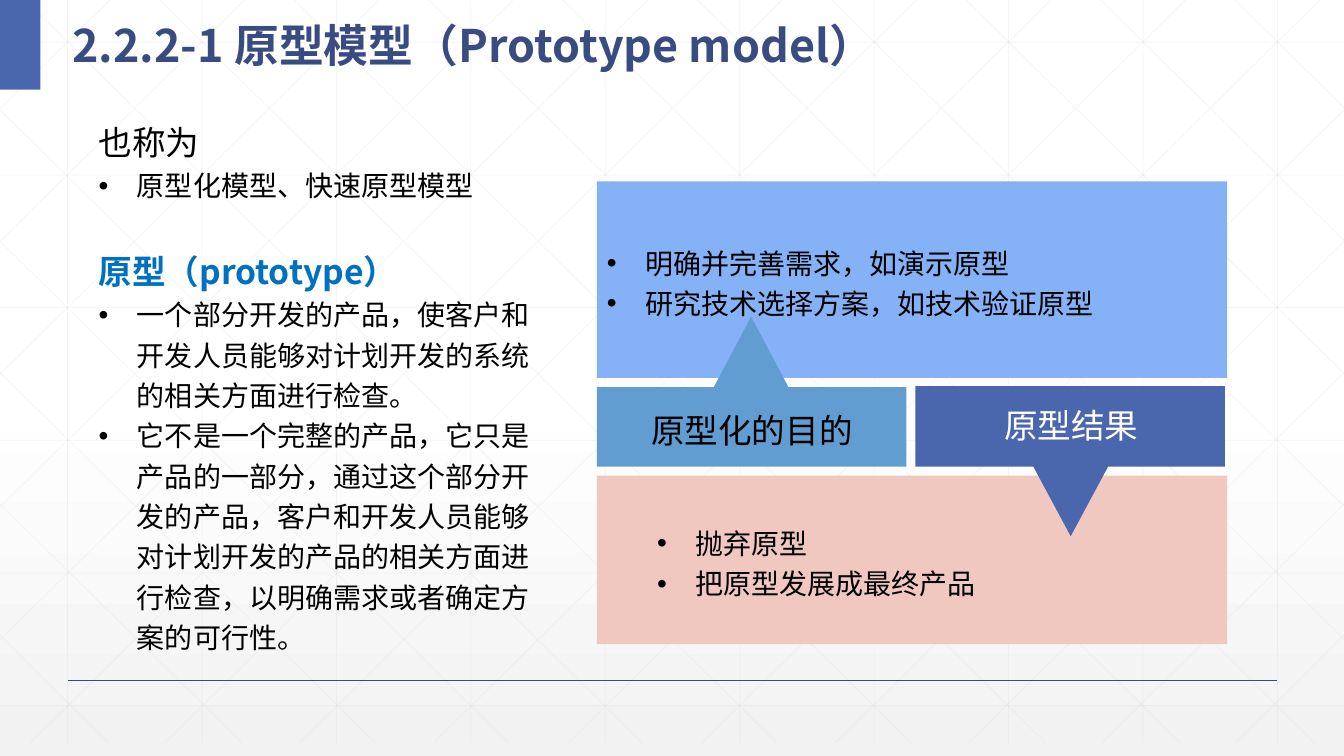
from dataclasses import dataclass

from lxml import etree
from pptx import Presentation
from pptx.dml.color import RGBColor
from pptx.enum.shapes import MSO_CONNECTOR, MSO_SHAPE
from pptx.enum.text import MSO_ANCHOR, PP_ALIGN
from pptx.oxml.ns import qn
from pptx.util import Inches, Pt

RECT = MSO_SHAPE.RECTANGLE
STRAIGHT = MSO_CONNECTOR.STRAIGHT
TOP, MIDDLE = MSO_ANCHOR.TOP, MSO_ANCHOR.MIDDLE
LEFT = PP_ALIGN.LEFT

W, H = 13.33, 7.5
FONT = "Noto Sans CJK SC"
BLACK, WHITE, NAVY, BLUE = "000000", "FFFFFF", "384C81", "4A66AC"


@dataclass
class Para:
    text: str
    size: float = 20
    color: str = BLACK
    bold: bool = False
    bullet: bool = False
    indent: float = 0.38
    spacing: float = 1.2
    before: float = 0


@dataclass
class Panel:
    top: float
    height: float
    fill: str
    paras: list[Para]


@dataclass
class Callout:
    points: list[tuple[float, float]]
    fill: str
    label: Para
    label_box: tuple[float, float, float, float]


def rgb(color: str) -> RGBColor:
    return RGBColor.from_string(color)


def paint(sp, color: str) -> None:
    sp.shadow.inherit = False
    sp.fill.solid()
    sp.fill.fore_color.rgb = rgb(color)
    sp.line.fill.background()


def write(sp, paras: list[Para], anchor=TOP, wrap: bool = True) -> None:
    tf = sp.text_frame
    tf.word_wrap = wrap
    tf.vertical_anchor = anchor
    for i, para in enumerate(paras):
        p = tf.add_paragraph() if i else tf.paragraphs[0]
        p.alignment = LEFT
        p.line_spacing = para.spacing
        p.space_before = Pt(para.before)
        if para.bullet:
            pPr = p._p.get_or_add_pPr()
            pPr.set("marL", str(Inches(para.indent)))
            pPr.set("indent", str(-Inches(0.38)))
            etree.SubElement(pPr, qn("a:buFont")).set("typeface", "Arial")
            etree.SubElement(pPr, qn("a:buChar")).set("char", "•")
        r = p.add_run()
        r.text = para.text
        r.font.name = FONT
        r.font.size = Pt(para.size)
        r.font.bold = para.bold
        r.font.color.rgb = rgb(para.color)
        etree.SubElement(r._r.get_or_add_rPr(), qn("a:ea")).set("typeface", FONT)


def add_text(s, box: tuple, paras: list[Para], anchor=TOP, wrap: bool = True) -> None:
    write(s.shapes.add_textbox(*map(Inches, box)), paras, anchor, wrap)


def add_rect(s, box: tuple, fill: str):
    sp = s.shapes.add_shape(RECT, *map(Inches, box))
    paint(sp, fill)
    return sp


def add_line(s, x1: float, y1: float, x2: float, y2: float,
             color: str = "D9D9D9", width: float = 0.5, alpha: int = 25) -> None:
    sp = s.shapes.add_connector(STRAIGHT, *map(Inches, (x1, y1, x2, y2)))
    sp.line.color.rgb = rgb(color)
    sp.line.width = Pt(width)
    if alpha < 100:
        clr = sp.line._ln.find(".//" + qn("a:srgbClr"))
        etree.SubElement(clr, qn("a:alpha")).set("val", str(alpha * 1000))
    etree.SubElement(sp._element.spPr, qn("a:effectLst"))


def add_background(s) -> None:
    fill = s.background.fill
    fill.gradient()
    fill.gradient_angle = 270
    stops = s.background._cSld.find(".//" + qn("a:gsLst"))
    for gs in list(stops):
        stops.remove(gs)
    for pos, color, alpha in ((0, WHITE, 100), (53, WHITE, 100), (100, "F2F2F2", 65)):
        gs = etree.SubElement(stops, qn("a:gs"), pos=str(pos * 1000))
        clr = etree.SubElement(gs, qn("a:srgbClr"), val=color)
        if alpha < 100:
            etree.SubElement(clr, qn("a:alpha"), val=str(alpha * 1000))


def add_grid(s) -> None:
    bottom, run, step = 7.37, 7.455, 4 / 3
    for i in range(10):
        add_line(s, 0.67 + step * i, 0, 0.67 + step * i, bottom)
    for i in range(6):
        add_line(s, 0, 0.42 + 1.316 * i, W, 0.42 + 1.316 * i)
    # Diagonals from the top edge, cut off at the sides
    for i in range(10):
        x = 0.25 + step * i
        dx = min(run, W - x)
        add_line(s, x, 0, x + dx, bottom * dx / run)
        x = 13.09 - step * i
        dx = min(run, x)
        add_line(s, x, 0, x - dx, bottom * dx / run)
    # Diagonals from the bottom edge to the sides
    for i in range(5):
        y = 1.09 + 1.303 * i
        add_line(s, 6.37 - 1.323 * i, bottom, 0, y)
        add_line(s, 6.96 + 1.323 * i, bottom, W, y)


def add_callout(s, c: Callout) -> None:
    pts = [(Inches(x), Inches(y)) for x, y in c.points]
    fb = s.shapes.build_freeform(*pts[0])
    fb.add_line_segments(pts[1:], close=True)
    paint(fb.convert_to_shape(), c.fill)
    add_text(s, c.label_box, [c.label], wrap=False)


TITLE = Para("2.2.2-1 原型模型（Prototype model）", 32, NAVY, bold=True, spacing=1.3)
DEFINITION = [
    Para("也称为", 24),
    Para("原型化模型、快速原型模型", bullet=True),
    Para("原型（prototype）", 24, "0070C0", bold=True, before=28.8),
    Para("一个部分开发的产品，使客户和开发人员能够对计划开发的系统的相关方面进行检查。", bullet=True),
    Para("它不是一个完整的产品，它只是产品的一部分，通过这个部分开发的产品，客户和开发人员"
         "能够对计划开发的产品的相关方面进行检查，以明确需求或者确定方案的可行性。", bullet=True),
]
PANELS = [
    Panel(1.8, 1.95, "85B2F6", [
        Para("明确并完善需求，如演示原型", bullet=True),
        Para("研究技术选择方案，如技术验证原型", bullet=True)]),
    Panel(4.72, 1.67, "F0C8C0", [
        Para("抛弃原型", bullet=True, indent=0.88),
        Para("把原型发展成最终产品", bullet=True, indent=0.88)]),
]
CALLOUTS = [
    Callout([(7.45, 3.14), (7.82, 3.84), (8.99, 3.84), (8.99, 4.63),
             (5.92, 4.63), (5.92, 3.84), (7.08, 3.84)], "629DD1",
            Para("原型化的目的", 24, spacing=1), (6.36, 4.02, 2.2, 0.5)),
    Callout([(9.08, 3.83), (12.15, 3.83), (12.15, 4.63), (10.99, 4.63),
             (10.62, 5.32), (10.25, 4.63), (9.08, 4.63)], BLUE,
            Para("原型结果", 24, WHITE, spacing=1), (9.86, 3.97, 1.53, 0.5)),
]


def main() -> None:
    prs = Presentation()
    prs.slide_width, prs.slide_height = Inches(W), Inches(H)
    s = prs.slides.add_slide(prs.slide_layouts[6])

    # Backdrop
    add_background(s)
    add_grid(s)
    add_line(s, 0.67, 6.75, 12.67, 6.75, NAVY, 1, 100)
    add_rect(s, (0, 0, 0.4, 0.89), BLUE)

    # Title and definition
    add_text(s, (0.62, 0, 8.91, 0.73), [TITLE], MIDDLE)
    add_text(s, (0.88, 1.08, 4.71, 5.48), DEFINITION)

    # Purpose and outcome of prototyping
    for panel in PANELS:
        sp = add_rect(s, (5.92, panel.top, 6.25, panel.height), panel.fill)
        write(sp, panel.paras, MIDDLE)
    for callout in CALLOUTS:
        add_callout(s, callout)

    prs.save("out.pptx")


if __name__ == "__main__":
    main()
